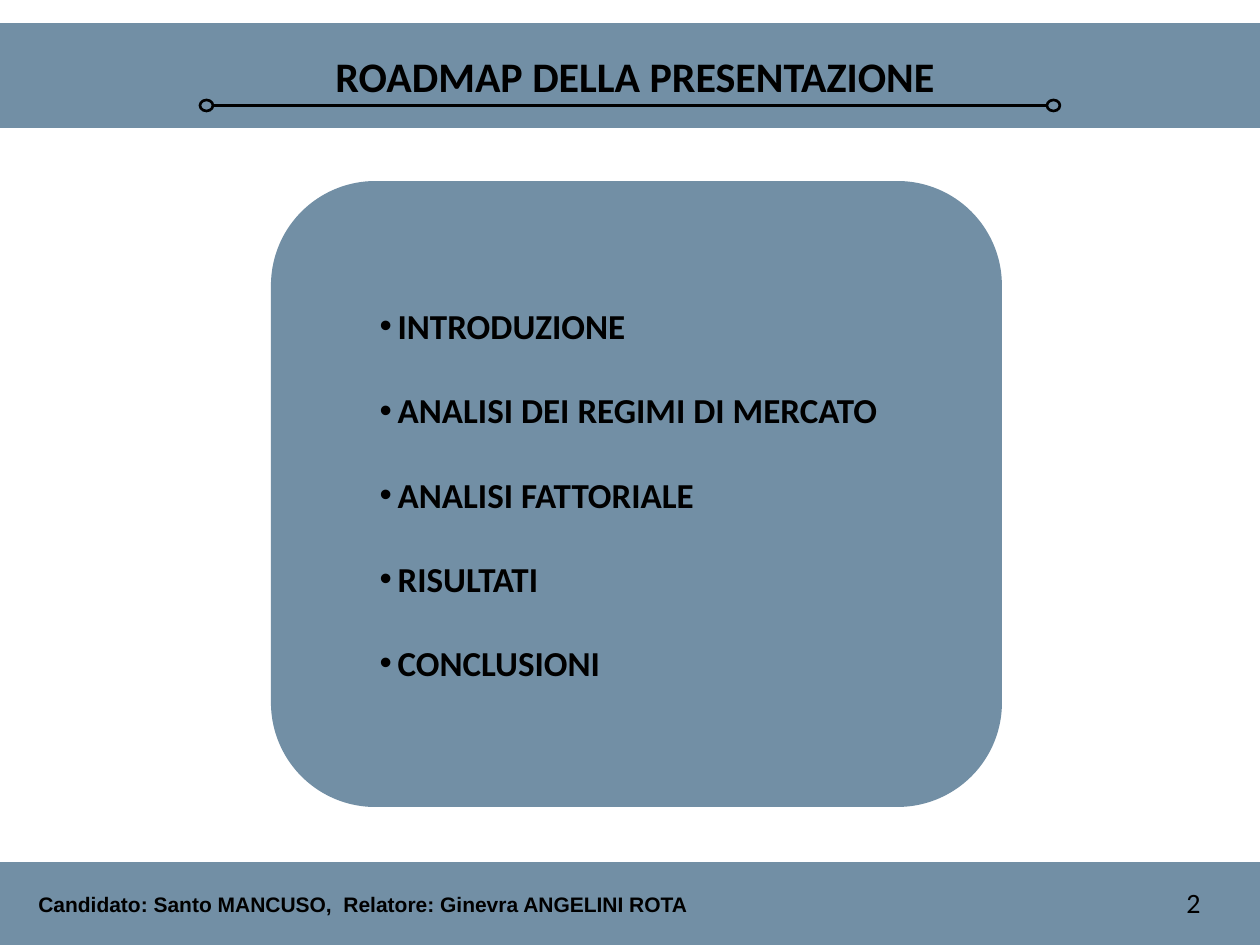
from lxml import etree
from pptx import Presentation
from pptx.dml.color import RGBColor
from pptx.enum.shapes import MSO_CONNECTOR, MSO_SHAPE
from pptx.enum.text import MSO_ANCHOR, MSO_AUTO_SIZE, PP_ALIGN
from pptx.oxml.ns import qn
from pptx.util import Pt

EMU_PER_PX = 914400 / 126
RECTANGLE, ROUNDED, OVAL = MSO_SHAPE.RECTANGLE, MSO_SHAPE.ROUNDED_RECTANGLE, MSO_SHAPE.OVAL
STRAIGHT = MSO_CONNECTOR.STRAIGHT
TOP, MIDDLE = MSO_ANCHOR.TOP, MSO_ANCHOR.MIDDLE
LEFT, CENTER, JUSTIFY = PP_ALIGN.LEFT, PP_ALIGN.CENTER, PP_ALIGN.JUSTIFY
NO_AUTOFIT = MSO_AUTO_SIZE.NONE

COLORS = {"band": "728FA5", "ink": "000000"}
TITLE_FONT = {"name": "Calibri", "size": Pt(24), "bold": True}
TOPIC_FONT = {"name": "Calibri", "size": Pt(20), "bold": True}
CREDIT_FONT = {"name": "Arial", "size": Pt(12), "bold": True}
NUMBER_FONT = {"name": "Calibri", "size": Pt(16), "bold": False}
TOPICS = [
    "INTRODUZIONE",
    "ANALISI DEI REGIMI DI MERCATO",
    "ANALISI FATTORIALE",
    "RISULTATI",
    "CONCLUSIONI",
]


def px(length):
    """Turn pixels into EMU."""
    return round(length * EMU_PER_PX)


def ink(name):
    """Return a named colour."""
    return RGBColor.from_string(COLORS[name])


def set_attributes(target, values):
    """Set each attribute of the target from a dict."""
    for key, value in values.items():
        setattr(target, key, value)


def add_panel(slide, preset, box):
    """Draw a filled background panel without outline."""
    panel = slide.shapes.add_shape(preset, *map(px, box))
    panel.shadow.inherit = False
    panel.fill.solid()
    panel.fill.fore_color.rgb = ink("band")
    panel.line.fill.background()


def raise_placeholder(slide, placeholder, box):
    """Place a placeholder in the box, in front of what is drawn so far."""
    slide.shapes.element.append(placeholder.element)
    set_attributes(placeholder, dict(zip(("left", "top", "width", "height"), map(px, box))))


def format_paragraph(paragraph, font, alignment):
    """Give a paragraph its font, colour and alignment."""
    set_attributes(paragraph.font, font)
    paragraph.font.color.rgb = ink("ink")
    paragraph.alignment = alignment


def add_label(slide, text, box, font, wrap):
    """Add a one-line text box."""
    label = slide.shapes.add_textbox(*map(px, box))
    label.text_frame.word_wrap = wrap
    label.text_frame.text = text
    format_paragraph(label.text_frame.paragraphs[0], font, LEFT)


def add_title_rule(slide, box):
    """Draw a line between two rings, spanning the box."""
    left, top, width, height = box
    ring = 13
    right = left + width - ring
    middle = top + height / 2
    rule = slide.shapes.add_group_shape()
    ends = map(px, (left + ring, middle, right, middle))
    line = rule.shapes.add_connector(STRAIGHT, *ends)
    etree.SubElement(line.element.spPr, qn("a:effectLst"))
    parts = [line]
    for ring_left in (left, right):
        circle = rule.shapes.add_shape(OVAL, *map(px, (ring_left, top, ring, height)))
        circle.shadow.inherit = False
        circle.fill.background()
        parts.append(circle)
    for part in parts:
        part.line.color.rgb = ink("ink")
        part.line.width = Pt(1.5)


def add_header(slide, box):
    """Build the title band with its rule."""
    left, top, width, height = box
    add_panel(slide, RECTANGLE, box)
    title = slide.shapes.title
    raise_placeholder(slide, title, (left + 244, top + 21, 782, 62))
    title.text_frame.text = "ROADMAP DELLA PRESENTAZIONE"
    set_attributes(title.text_frame, {"vertical_anchor": TOP, "auto_size": NO_AUTOFIT})
    format_paragraph(title.text_frame.paragraphs[0], TITLE_FONT, CENTER)
    add_title_rule(slide, (left + 200, top + 77, width - 400, 11))


def add_roadmap(slide, box):
    """Build the rounded panel with the list of topics."""
    left, top, width, height = box
    add_panel(slide, ROUNDED, box)
    roadmap = slide.placeholders[1]
    raise_placeholder(slide, roadmap, (left + 96, top + 116, 638, 394))
    frame = roadmap.text_frame
    frame.text = "\n".join(TOPICS)
    set_attributes(frame, {"vertical_anchor": MIDDLE, "auto_size": NO_AUTOFIT})
    for index, topic in enumerate(frame.paragraphs):
        properties = topic._p.get_or_add_pPr()
        properties.set("marL", str(px(18)))
        properties.set("indent", str(-px(18)))
        etree.SubElement(properties, qn("a:buFont"), typeface="Arial")
        etree.SubElement(properties, qn("a:buChar"), char="•")
        format_paragraph(topic, TOPIC_FONT, JUSTIFY)
        topic.space_before = Pt(24 if index else 0)


def add_footer(slide, box):
    """Build the bottom band with the credit and the slide number."""
    left, top, width, height = box
    add_panel(slide, RECTANGLE, box)
    credit = "Candidato: Santo MANCUSO,  Relatore: Ginevra ANGELINI ROTA"
    add_label(slide, credit, (left + 26, top + 23, 682, 38), CREDIT_FONT, False)
    add_label(slide, "2", (left + width - 86, top + 17, 72, 50), NUMBER_FONT, True)


def main():
    """Build and save the slide."""
    deck = Presentation()
    deck.slide_width, deck.slide_height = px(1260), px(945)
    slide = deck.slides.add_slide(deck.slide_layouts[1])
    add_roadmap(slide, (271, 181, 731, 626))
    add_footer(slide, (0, 862, 1260, 83))
    add_header(slide, (0, 23, 1260, 105))
    deck.save("out.pptx")


if __name__ == "__main__":
    main()
